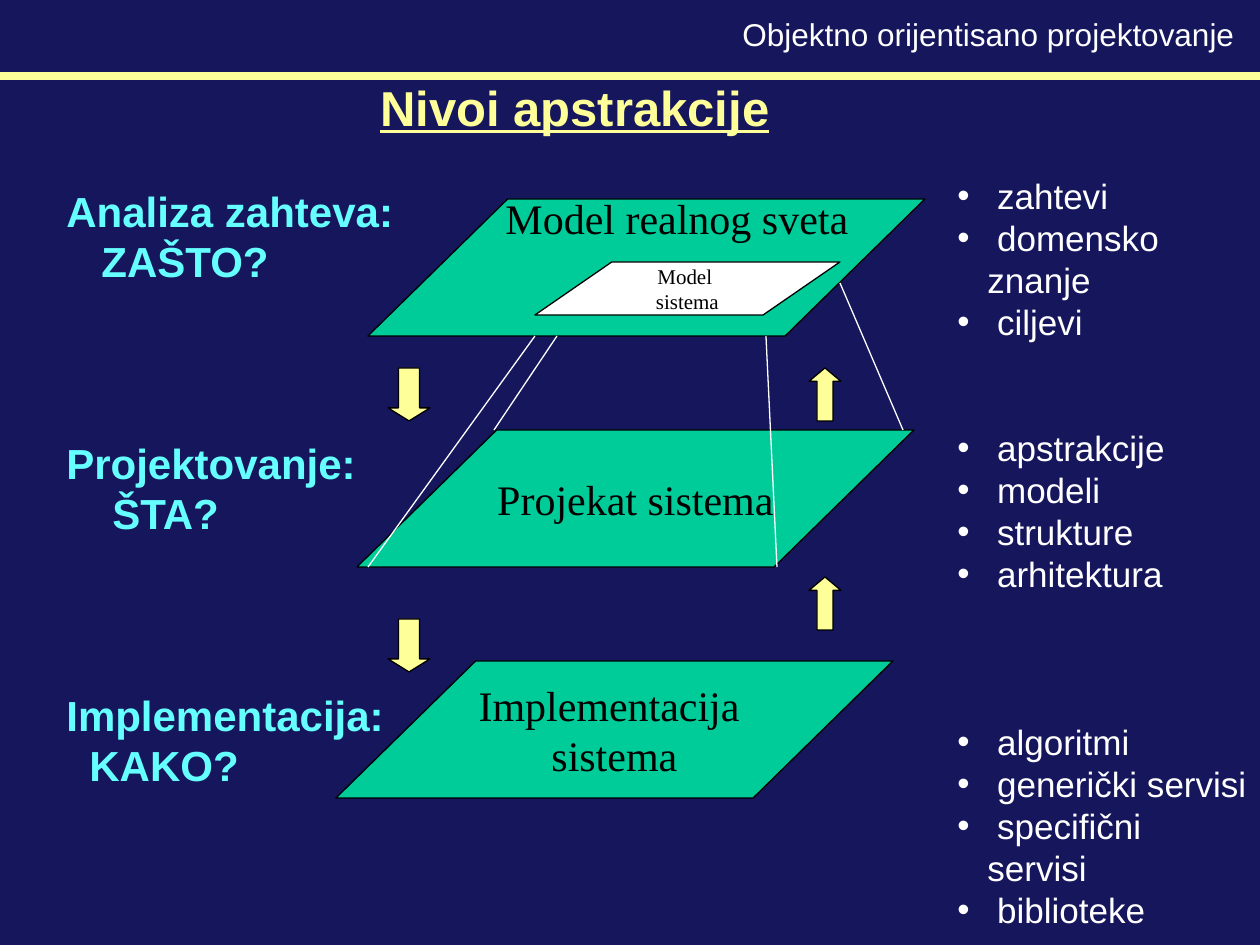
from dataclasses import dataclass

from lxml import etree
from pptx import Presentation
from pptx.dml.color import RGBColor
from pptx.enum.shapes import MSO_CONNECTOR, MSO_SHAPE
from pptx.enum.text import MSO_ANCHOR, PP_ALIGN
from pptx.oxml.ns import qn
from pptx.util import Emu, Pt

LINE = MSO_CONNECTOR.STRAIGHT
PLANE = MSO_SHAPE.PARALLELOGRAM
UP, DOWN = MSO_SHAPE.UP_ARROW, MSO_SHAPE.DOWN_ARROW
MIDDLE = MSO_ANCHOR.MIDDLE
LEFT, CENTER = PP_ALIGN.LEFT, PP_ALIGN.CENTER
PX_PER_INCH = 126
LEADING = 1.2


@dataclass(frozen=True)
class Theme:
    """Colours, fonts and type sizes of the slide."""
    navy: str = "16165D"
    yellow: str = "FFFF99"
    cyan: str = "66FFFF"
    green: str = "00CC99"
    white: str = "FFFFFF"
    black: str = "000000"
    sans: str = "Arial"
    serif: str = "Times New Roman"
    title: int = 28
    heading: int = 24
    item: int = 20
    header: int = 18
    small: int = 12
    thin: float = 0.75
    thick: float = 4.5


THEME = Theme()


def px(length):
    """Turn slide pixels into EMU."""
    return Emu(round(length * 914400 / PX_PER_INCH))


def rgb(colour):
    """Turn a hex string into a colour."""
    return RGBColor.from_string(colour)


def style(paragraph, size, colour, font, bold=False, align=LEFT):
    """Format one paragraph and its runs."""
    paragraph.alignment = align
    paragraph.line_spacing = Pt(size * LEADING)
    for part in (paragraph, *paragraph.runs):
        part.font.size, part.font.name, part.font.bold = Pt(size), font, bold
        part.font.color.rgb = rgb(colour)


def add_text(slide, box, lines, size, colour, font, bold=False, align=LEFT):
    """Add an unwrapped text box and return its paragraphs."""
    frame = slide.shapes.add_textbox(*map(px, box)).text_frame
    frame.word_wrap = False
    frame.text = "\n".join(lines)
    for paragraph in frame.paragraphs:
        style(paragraph, size, colour, font, bold, align)
    return frame.paragraphs


def add_line(slide, start, end, colour, width):
    """Add a straight line without shadow."""
    line = slide.shapes.add_connector(LINE, *map(px, (*start, *end)))
    line.line.color.rgb = rgb(colour)
    line.line.width = Pt(width)
    etree.SubElement(line._element.spPr, qn("a:effectLst"))


def add_outlined(slide, kind, box, fill, adjustments):
    """Add a filled shape with a thin black outline."""
    shape = slide.shapes.add_shape(kind, *map(px, box))
    shape.shadow.inherit = False
    shape.fill.solid()
    shape.fill.fore_color.rgb = rgb(fill)
    shape.line.color.rgb = rgb(THEME.black)
    shape.line.width = Pt(THEME.thin)
    for index, value in enumerate(adjustments):
        shape.adjustments[index] = value
    return shape


def add_plane(slide, box, fill, slant, lines, size):
    """Add a slanted plane with centred lettering."""
    frame = add_outlined(slide, PLANE, box, fill, [slant]).text_frame
    frame.word_wrap = False
    frame.vertical_anchor = MIDDLE
    frame.text = "\n".join(lines)
    for paragraph in frame.paragraphs:
        style(paragraph, size, THEME.black, THEME.serif, align=CENTER)


def add_header(slide, left, top, width):
    """Place the course name, the rule and the slide title."""
    add_text(slide, (left + 730, top + 9, 528, 50), ["Objektno orijentisano projektovanje"],
             THEME.header, THEME.white, THEME.sans)
    add_line(slide, (left, top + 76), (left + width, top + 76), THEME.yellow, THEME.thick)
    title, = add_text(slide, (left + 368, top + 71, 430, 72), ["Nivoi apstrakcije"],
                      THEME.title, THEME.yellow, THEME.sans, bold=True)
    title.runs[0].font.underline = True


def add_phases(slide, left, top, width, height):
    """List the phases, each with its indented question."""
    phases = [("Analiza zahteva:", "ZAŠTO?", 35), ("Projektovanje:", "ŠTA?", 46),
              ("Implementacija:", "KAKO?", 23)]
    lines = [text for name, question, _ in phases for text in (name, question)]
    paragraphs = add_text(slide, (left, top, width, height), lines,
                          THEME.heading, THEME.cyan, THEME.sans, bold=True)
    for name in paragraphs[2::2]:
        name.space_before = Pt(3 * THEME.heading * LEADING)
    for question, (_, _, indent) in zip(paragraphs[1::2], phases):
        question._p.get_or_add_pPr().set("marL", str(px(indent)))


def add_products(slide, left, top, width, height):
    """List the products of each phase as bullets."""
    groups = [(0, ["zahtevi", "domensko znanje", "ciljevi"]),
              (2, ["apstrakcije", "modeli", "strukture", "arhitektura"]),
              (3, ["algoritmi", "generički servisi", "specifični servisi", "biblioteke"])]
    frame = slide.shapes.add_textbox(*map(px, (left, top, width, height))).text_frame
    frame.word_wrap = True
    frame.text = "\n".join(f" {item}" for _, items in groups for item in items)
    paragraphs = iter(frame.paragraphs)
    for gap, items in groups:
        for index, _ in enumerate(items):
            product = next(paragraphs)
            properties = product._p.get_or_add_pPr()
            properties.set("marL", str(px(30)))
            properties.set("indent", str(-px(30)))
            etree.SubElement(properties, qn("a:buFont"), typeface=THEME.sans)
            etree.SubElement(properties, qn("a:buChar"), char="•")
            style(product, THEME.item, THEME.white, THEME.sans)
            if gap and index == 0:
                product.space_before = Pt(gap * THEME.item * LEADING)


def add_levels(slide, left, top):
    """Draw the three planes, their projection lines and the arrows."""
    planes = [(32, 0, []), (21, 231, ["Projekat sistema"]),
              (0, 462, ["Implementacija ", "sistema"])]
    for x, y, lines in planes:
        add_plane(slide, (left + x, top + y, 557, 137), THEME.green, 1.02, lines, THEME.heading)
    add_text(slide, (left + 132, top - 13, 418, 63), ["Model realnog sveta"],
             THEME.heading, THEME.black, THEME.serif, align=CENTER)
    add_plane(slide, (left + 199, top + 63, 305, 53), THEME.white, 1.45,
              ["Model ", "sistema"], THEME.small)
    projections = [(199, 137, 32, 368), (221, 137, 158, 231),
                   (504, 84, 567, 231), (430, 137, 441, 368)]
    for x1, y1, x2, y2 in projections:
        add_line(slide, (left + x1, top + y1), (left + x2, top + y2), THEME.white, THEME.thin)
    arrows = [(UP, 473, 32, 0.42, (169, 378)), (DOWN, 52, 42, 0.31, (169, 420))]
    for kind, x, width, head, rows in arrows:
        for y in rows:
            add_outlined(slide, kind, (left + x, top + y, width, 53), THEME.yellow, [0.5, head])


def main():
    """Build and save the slide."""
    deck = Presentation()
    deck.slide_width, deck.slide_height = px(1260), px(945)
    slide = deck.slides.add_slide(deck.slide_layouts[6])
    slide.background.fill.solid()
    slide.background.fill.fore_color.rgb = rgb(THEME.navy)
    add_levels(slide, 336, 199)
    add_products(slide, 945, 168, 315, 727)
    add_phases(slide, 54, 179, 365, 617)
    add_header(slide, 0, 0, 1260)
    deck.save("out.pptx")


if __name__ == "__main__":
    main()
